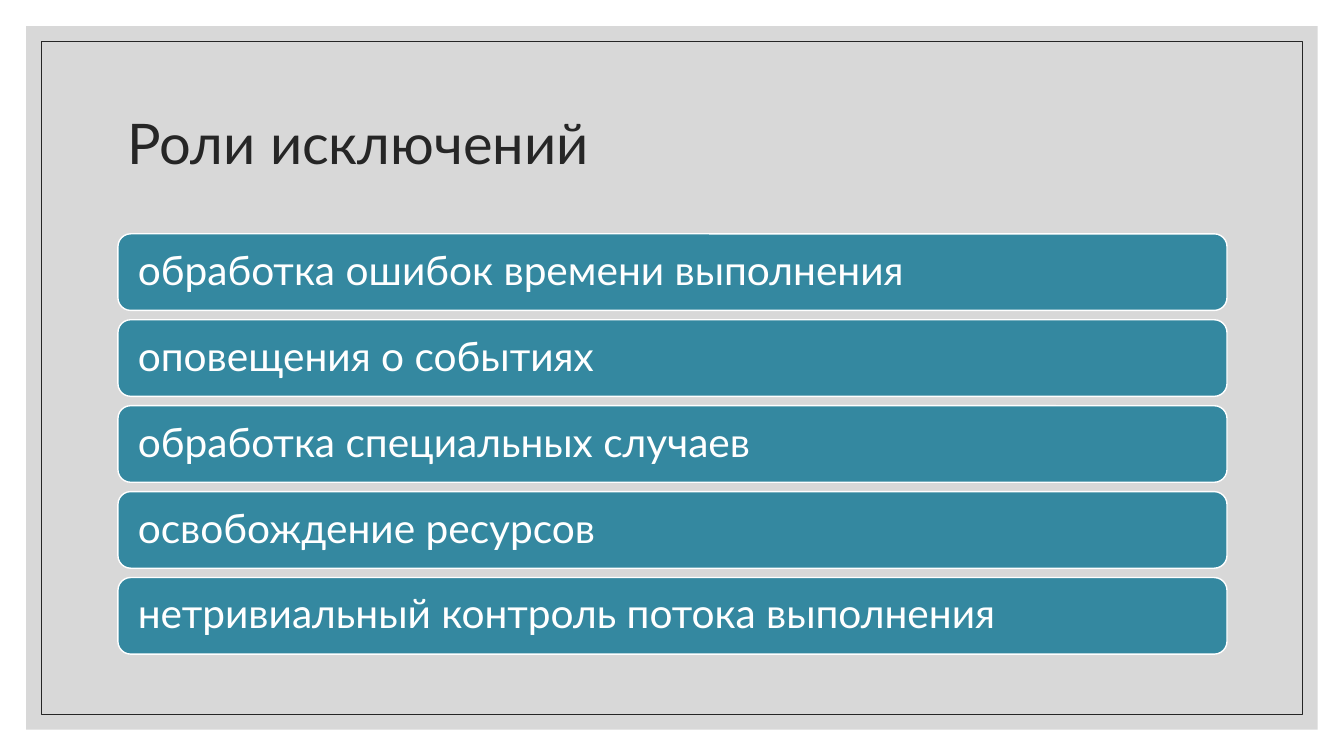
from lxml import etree
from pptx import Presentation
from pptx.dml.color import RGBColor
from pptx.enum.shapes import MSO_SHAPE as SHAPE
from pptx.enum.text import MSO_ANCHOR as ANCHOR, PP_ALIGN as ALIGN
from pptx.oxml.ns import qn
from pptx.util import Inches, Pt

TITLE = "Роли исключений"
ROLES = [
    "обработка ошибок времени выполнения",
    "оповещения о событиях",
    "обработка специальных случаев",
    "освобождение ресурсов",
    "нетривиальный контроль потока выполнения",
]
COLORS = {"panel": "BFBFBF", "ink": "262626", "bar": "3488A0", "white": "FFFFFF"}
FONT = "Lato"
W, H = 13.33, 7.5
LEFT, WIDTH = 1.17, 11
BARS_TOP, BARS_BOTTOM, BAR_H = 2.32, 6.49, 0.76

prs = Presentation()
prs.slide_width, prs.slide_height = Inches(W), Inches(H)
s = prs.slides.add_slide(prs.slide_layouts[6])


def rgb(name):
    return RGBColor.from_string(COLORS[name])


def add_box(kind, x, y, w, h, fill=None, line=None, weight=1):
    sp = s.shapes.add_shape(kind, *map(Inches, (x, y, w, h)))
    sp.shadow.inherit = False
    if fill:
        sp.fill.solid()
        sp.fill.fore_color.rgb = rgb(fill)
    else:
        sp.fill.background()
    if line:
        sp.line.color.rgb = rgb(line)
        sp.line.width = Pt(weight)
    else:
        sp.line.fill.background()
    return sp


def write(sp, text, size, color, inset):
    tf = sp.text_frame
    tf.word_wrap = True
    tf.vertical_anchor = ANCHOR.MIDDLE
    tf.margin_left = tf.margin_right = Inches(inset)
    p = tf.paragraphs[0]
    p.alignment = ALIGN.LEFT
    p.line_spacing = 0.9
    r = p.add_run()
    r.text = text
    r.font.name, r.font.size = FONT, Pt(size)
    r.font.color.rgb = rgb(color)


# Translucent panel and thin frame, both centred on the slide
for margin, style in [(0.26, {"fill": "panel"}), (0.41, {"line": "ink", "weight": 0.5})]:
    sp = add_box(SHAPE.RECTANGLE, margin, margin, W - 2 * margin, H - 2 * margin, **style)
    for clr in sp.fill._xPr.findall(qn("a:solidFill") + "/" + qn("a:srgbClr")):
        etree.SubElement(clr, qn("a:alpha")).set("val", "60000")

# Title
write(s.shapes.add_textbox(*map(Inches, (LEFT, 0.7, WIDTH, 1.5))), TITLE, 40, "ink", 0.1)

# Evenly spaced bars, one per role
pitch = (BARS_BOTTOM - BARS_TOP - BAR_H) / (len(ROLES) - 1)
for i, role in enumerate(ROLES):
    bar = add_box(SHAPE.ROUNDED_RECTANGLE, LEFT, BARS_TOP + i * pitch, WIDTH, BAR_H,
                  fill="bar", line="white")
    write(bar, role, 29, "white", 0.16)

prs.save("out.pptx")
